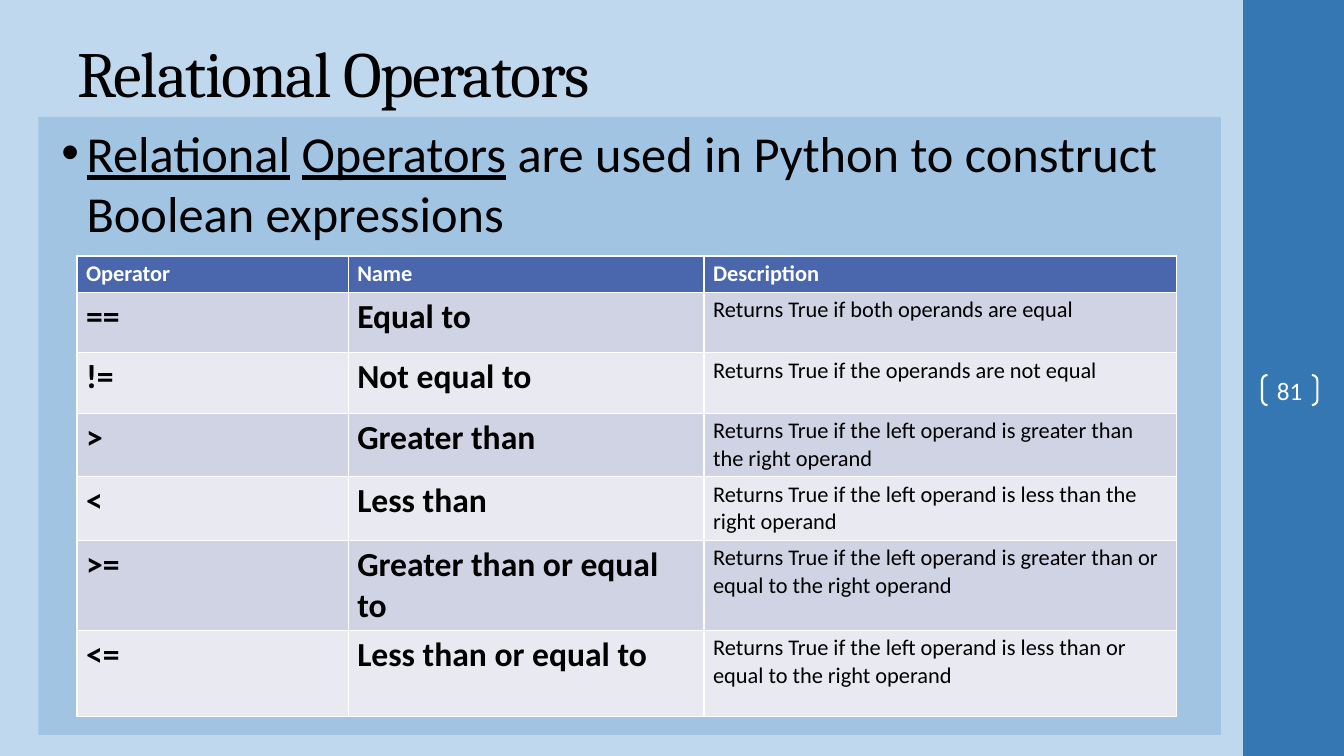
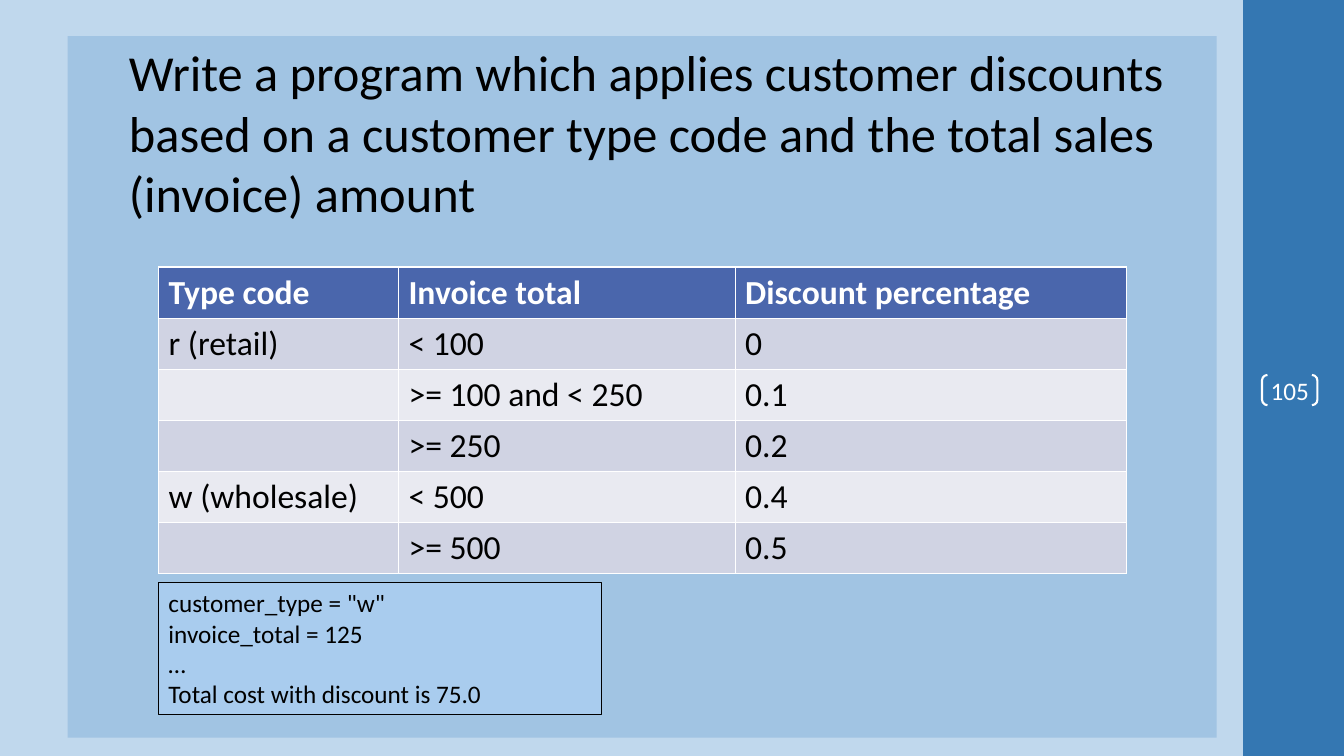
from lxml import etree
from pptx import Presentation
from pptx.dml.color import RGBColor
from pptx.enum.shapes import MSO_SHAPE
from pptx.enum.text import MSO_ANCHOR, PP_ALIGN
from pptx.oxml.ns import qn
from pptx.util import Inches, Pt

RECTANGLE = MSO_SHAPE.RECTANGLE
BRACKETS = MSO_SHAPE.DOUBLE_BRACKET
TOP, MIDDLE = MSO_ANCHOR.TOP, MSO_ANCHOR.MIDDLE
LEFT, CENTER = PP_ALIGN.LEFT, PP_ALIGN.CENTER

BACKGROUND = RGBColor(0xC0, 0xD8, 0xED)
BAND = RGBColor(0x34, 0x77, 0xB2)
PANEL = RGBColor(0xA1, 0xC4, 0xE3)
OUTPUT_BOX = RGBColor(0xA9, 0xCC, 0xEE)
HEADER = RGBColor(0x4A, 0x66, 0xAC)
ROW_FILLS = [RGBColor(0xE9, 0xEA, 0xF1), RGBColor(0xD0, 0xD3, 0xE3)]
BLACK = RGBColor(0, 0, 0)
WHITE = RGBColor(0xFF, 0xFF, 0xFF)

TITLE_FORMAT = {"name": "Cambria", "size": Pt(46)}
BODY_FORMAT = {"name": "Calibri", "size": Pt(36)}
SMALL_FORMAT = {"name": "Calibri", "size": Pt(18)}
CELL_FORMAT = {"name": "Calibri", "size": Pt(24), "bold": False}
STRONG_FORMAT = {**CELL_FORMAT, "bold": True}
DETAIL_FORMAT = {**CELL_FORMAT, "size": Pt(16)}
DETAIL_HEADER_FORMAT = {**DETAIL_FORMAT, "bold": True}

presentation = Presentation()
presentation.slide_width = Inches(13.33)
presentation.slide_height = Inches(7.5)
COLUMN = presentation.slide_width / 100
ROW = presentation.slide_height / 100

master_fill = presentation.slide_master.background.fill
master_fill.solid()
master_fill.fore_color.rgb = BACKGROUND


def add_text(paragraph, text, text_format, color=BLACK):
    run = paragraph.add_run()
    run.text = text
    for name, value in text_format.items():
        setattr(run.font, name, value)
    run.font.color.rgb = color
    return run


def add_box(slide, kind, area, fill=None, line=None, line_width=1, anchor=TOP):
    left, top, width, height = area
    shape = slide.shapes.add_shape(
        kind, int(left * COLUMN), int(top * ROW), int(width * COLUMN), int(height * ROW))
    shape.shadow.inherit = False
    if fill is None:
        shape.fill.background()
    else:
        shape.fill.solid()
        shape.fill.fore_color.rgb = fill
    if line is None:
        shape.line.fill.background()
    else:
        shape.line.color.rgb = line
        shape.line.width = Pt(line_width)
    shape.text_frame.word_wrap = True
    shape.text_frame.vertical_anchor = anchor
    shape.text_frame.paragraphs[0].alignment = LEFT
    return shape


SLIDES = [
    {
        "number": "81",
        "title": "Relational Operators",
        "panel": (2.85, 15.47, 88, 81.73),
        "indent": (0.38, -0.25),
        "bullet": True,
        "body": [("Relational", True), (" ", False), ("Operators", True),
                 (" are used in Python to construct Boolean expressions", False)],
        "table_corner": (5.73, 33.87),
        "columns": [20.18, 26.48, 35.18],
        "rows": [4.8, 8, 8, 8.4, 8.4, 11.5, 11.4],
        "header_format": DETAIL_HEADER_FORMAT,
        "column_formats": [STRONG_FORMAT, STRONG_FORMAT, DETAIL_FORMAT],
        "margins": (0.09, 0.04),
        "cells": [
            ("Operator", "Name", "Description"),
            ("==", "Equal to", "Returns True if both operands are equal"),
            ("!=", "Not equal to", "Returns True if the operands are not equal"),
            (">", "Greater than",
             "Returns True if the left operand is greater than the right operand"),
            ("<", "Less than",
             "Returns True if the left operand is less than the right operand"),
            (">=", "Greater than or equal to",
             "Returns True if the left operand is greater than or equal to the right operand"),
            ("<=", "Less than or equal to",
             "Returns True if the left operand is less than or equal to the right operand"),
        ],
        "output": [],
    },
    {
        "number": "105",
        "title": None,
        "panel": (5.03, 4.8, 85.5, 92.8),
        "indent": (0.51, 0),
        "bullet": False,
        "body": [("Write a program which applies customer discounts based on a customer "
                  "type code and the total sales (invoice) amount", False)],
        "table_corner": (11.8, 35.33),
        "columns": [17.85, 25.05, 29.1],
        "rows": [6.75] * 6,
        "header_format": STRONG_FORMAT,
        "column_formats": [CELL_FORMAT] * 3,
        "margins": (0.1, 0.05),
        "cells": [
            ("Type code", "Invoice total", "Discount percentage"),
            ("r (retail)", "< 100", "0"),
            ("", ">= 100 and < 250", "0.1"),
            ("", ">= 250", "0.2"),
            ("w (wholesale)", "< 500", "0.4"),
            ("", ">= 500", "0.5"),
        ],
        "output": ['customer_type = "w"', "invoice_total = 125", "…",
                   "Total cost with discount is 75.0"],
    },
]

for content in SLIDES:
    slide = presentation.slides.add_slide(presentation.slide_layouts[6])
    add_box(slide, RECTANGLE, (92.5, 0, 7.5, 100), BAND)

    if content["title"]:
        title = add_box(slide, RECTANGLE, (5, 3.33, 83.33, 12.27), anchor=MIDDLE)
        run = add_text(title.text_frame.paragraphs[0], content["title"], TITLE_FORMAT)
        run.font._element.set("spc", "-100")

    panel = add_box(slide, RECTANGLE, content["panel"], PANEL)
    paragraph = panel.text_frame.paragraphs[0]
    paragraph.space_before = Pt(2)
    properties = paragraph._p.get_or_add_pPr()
    for name, value in zip(("marL", "indent"), content["indent"]):
        properties.set(name, str(Inches(value)))
    if content["bullet"]:
        etree.SubElement(properties, qn("a:buFont")).set("typeface", "Arial")
        etree.SubElement(properties, qn("a:buChar")).set("char", "•")
    for text, underline in content["body"]:
        add_text(paragraph, text, {**BODY_FORMAT, "underline": underline})

    number = add_box(slide, BRACKETS, (93.9, 49.6, 4.12, 4), None, WHITE, 1.5, MIDDLE)
    number.adjustments[0] = 0.18
    frame = number.text_frame
    frame.word_wrap = False
    for side in ("left", "top", "right", "bottom"):
        setattr(frame, "margin_" + side, 0)
    frame.paragraphs[0].alignment = CENTER
    add_text(frame.paragraphs[0], content["number"], SMALL_FORMAT, WHITE)

    left, top = content["table_corner"]
    columns, rows = content["columns"], content["rows"]
    table = slide.shapes.add_table(
        len(rows), len(columns), int(left * COLUMN), int(top * ROW),
        int(sum(columns) * COLUMN), int(sum(rows) * ROW)).table
    for column, width in zip(table.columns, columns):
        column.width = int(width * COLUMN)
    for row, height in zip(table.rows, rows):
        row.height = int(height * ROW)
    side_margin, end_margin = content["margins"]
    for row_index, texts in enumerate(content["cells"]):
        is_header = row_index == 0
        for column_index, text in enumerate(texts):
            cell = table.cell(row_index, column_index)
            cell.fill.solid()
            cell.fill.fore_color.rgb = HEADER if is_header else ROW_FILLS[row_index % 2]
            cell.margin_left = cell.margin_right = Inches(side_margin)
            cell.margin_top = cell.margin_bottom = Inches(end_margin)
            if text:
                text_format = (content["header_format"] if is_header
                               else content["column_formats"][column_index])
                add_text(cell.text_frame.paragraphs[0], text, text_format,
                         WHITE if is_header else BLACK)

    if content["output"]:
        output = add_box(slide, RECTANGLE, (11.8, 77.07, 32.95, 17.4),
                         OUTPUT_BOX, BLACK, 0.75)
        for index, text in enumerate(content["output"]):
            frame = output.text_frame
            paragraph = frame.add_paragraph() if index else frame.paragraphs[0]
            paragraph.alignment = LEFT
            add_text(paragraph, text, SMALL_FORMAT)

presentation.save("out.pptx")
